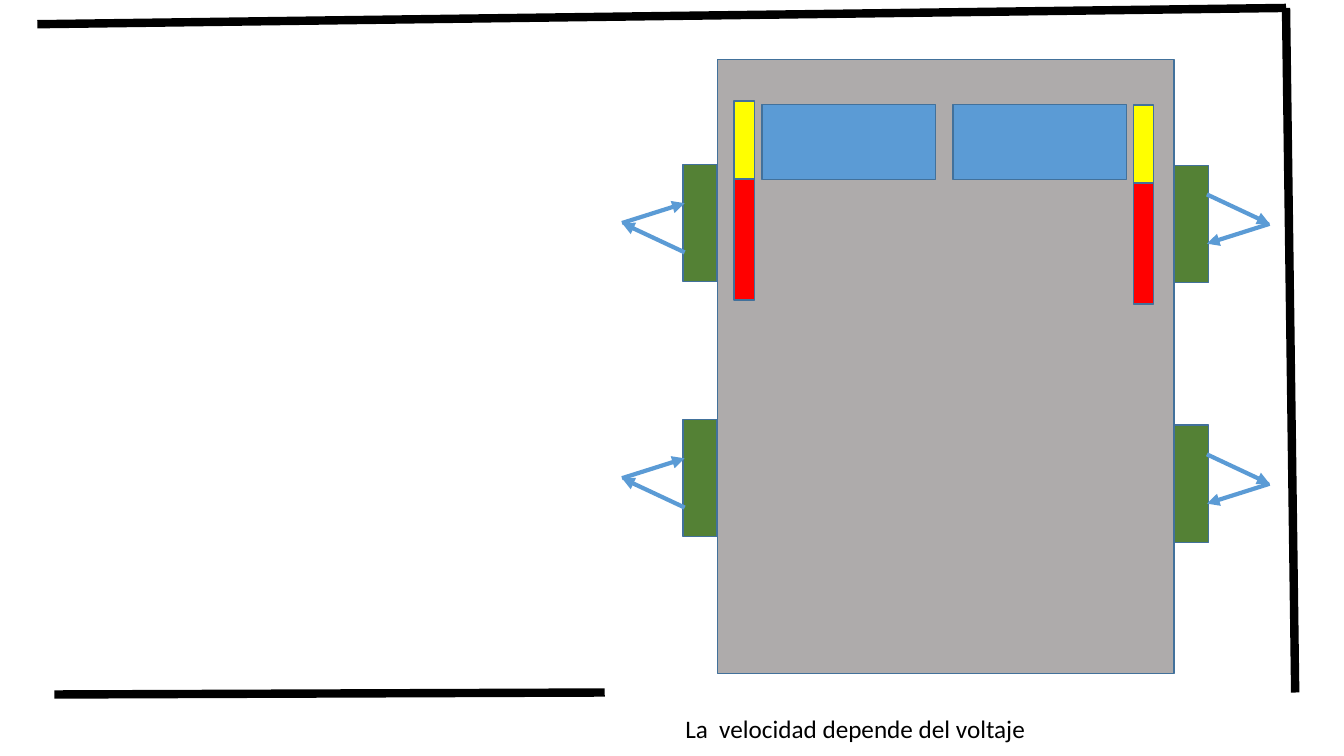
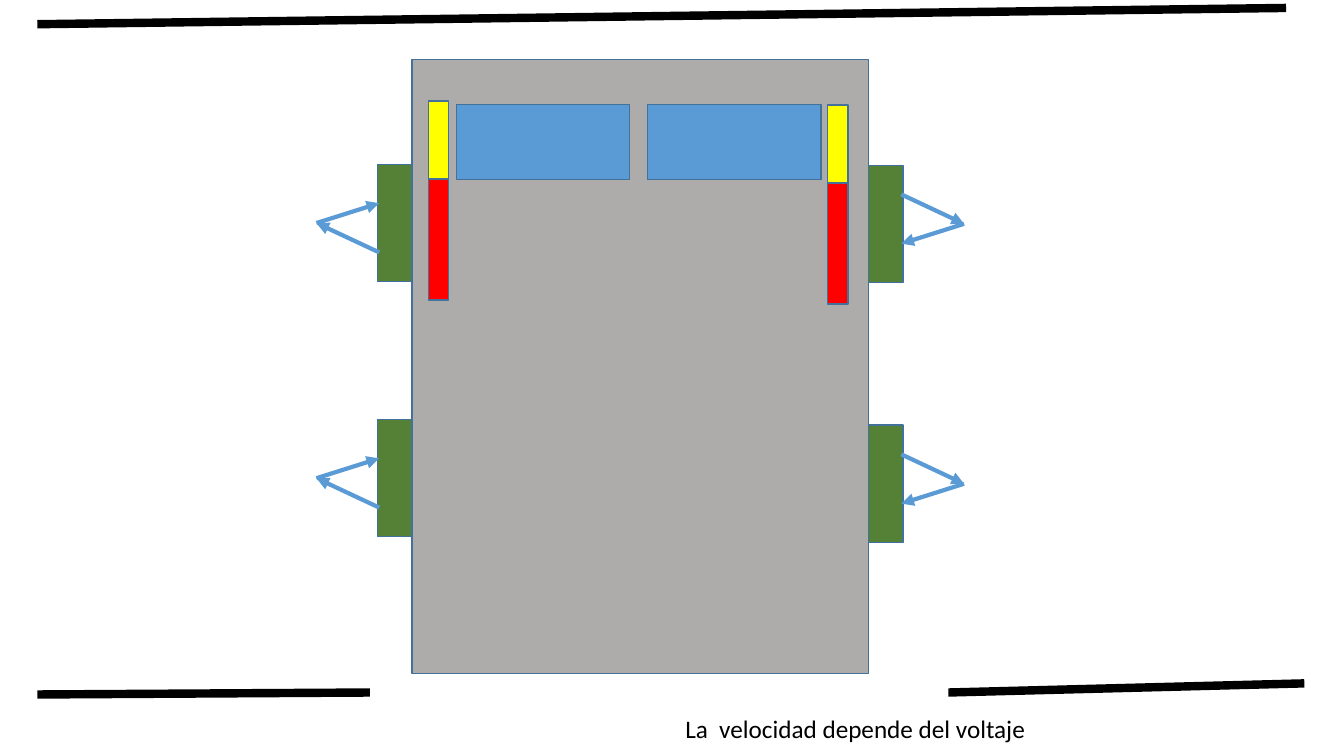
from lxml import etree
from pptx import Presentation
from pptx.dml.color import RGBColor
from pptx.enum.shapes import MSO_CONNECTOR, MSO_SHAPE
from pptx.enum.text import MSO_AUTO_SIZE
from pptx.oxml.ns import qn
from pptx.util import Cm, Pt

STRAIGHT = MSO_CONNECTOR.STRAIGHT
RECTANGLE = MSO_SHAPE.RECTANGLE
FIT_SHAPE = MSO_AUTO_SIZE.SHAPE_TO_FIT_TEXT
BLANK_LAYOUT = 6

COLORS = {
    "wall": "000000", "text": "000000", "outline": "42719B",
    "body": "AEABAB", "window": "5B9BD5", "signal": "5B9BD5",
    "yellow": "FFFF00", "red": "FF0000", "wheel": "548135",
}
CAPTION_FONT = {"name": "Calibri", "size": Pt(18)}
CAPTION = "La  velocidad depende del voltaje"

# Car geometry in cm: x from the car's left edge, y from the slide's top
BODY_TOP, BODY_WIDTH, BODY_HEIGHT = 1.5, 11.51, 15.47
WINDOW_LEFTS = (5.94, 1.12)
STRIP_CORNERS = ((10.48, 2.65), (0.42, 2.55))
STRIP_WIDTH, YELLOW_HEIGHT, RED_HEIGHT = 0.51, 1.96, 3.05
WHEEL_WIDTH, WHEEL_HEIGHT = 0.86, 2.95
# Side (1 right, -1 left) and the middle height of each wheel
WHEELS = ((1, 5.64), (-1, 5.62), (1, 12.19), (-1, 12.05))
# Distances from the car's centre line
WHEEL_REACH, SENSOR_REACH, ECHO_REACH = 6.19, 6.58, 8.16

TOP_WALL = (0.94, 0.61, 32.41, 0.2)
SCENES = (
    {"car_left": 18.08, "near_wall": (15.24, 17.45, 1.37, 17.5),
     "far_wall": (32.41, 0.2, 32.64, 17.45)},
    {"car_left": 10.38, "near_wall": (9.32, 17.45, 0.94, 17.5),
     "far_wall": (32.87, 17.22, 23.9, 17.45)},
)


def color(role):
    return RGBColor.from_string(COLORS[role])


class CarDeck:
    def __init__(self):
        self.prs = Presentation()
        self.prs.slide_width, self.prs.slide_height = Cm(33.87), Cm(19.05)
        self.slide = None

    def new_slide(self):
        layout = self.prs.slide_layouts[BLANK_LAYOUT]
        self.slide = self.prs.slides.add_slide(layout)

    def caption(self, text):
        box = self.slide.shapes.add_textbox(Cm(17.02), Cm(17.86), Cm(9.19), Cm(1.02))
        frame = box.text_frame
        frame.word_wrap = False
        frame.auto_size = FIT_SHAPE
        run = frame.paragraphs[0].add_run()
        run.text = text
        for attribute, value in CAPTION_FONT.items():
            setattr(run.font, attribute, value)
        run.font.color.rgb = color("text")

    def line(self, shapes, ends, role, width):
        line = shapes.add_connector(STRAIGHT, *(Cm(end) for end in ends))
        line.line.color.rgb = color(role)
        line.line.width = Pt(width)
        etree.SubElement(line._element.spPr, qn("a:effectLst"))
        return line

    def wall(self, ends):
        self.line(self.slide.shapes, ends, "wall", 6)

    def arrow(self, shapes, ends):
        arrow = self.line(shapes, ends, "signal", 3)
        etree.SubElement(arrow.line._get_or_add_ln(), qn("a:tailEnd"), type="triangle")

    def block(self, shapes, role, left, top, width, height):
        block = shapes.add_shape(RECTANGLE, Cm(left), Cm(top), Cm(width), Cm(height))
        block.shadow.inherit = False
        block.fill.solid()
        block.fill.fore_color.rgb = color(role)
        block.line.color.rgb = color("outline")
        block.line.width = Pt(1)

    def wheel(self, shapes, center, side, middle):
        self.block(shapes, "wheel", center + side * WHEEL_REACH - WHEEL_WIDTH / 2,
                   middle - WHEEL_HEIGHT / 2, WHEEL_WIDTH, WHEEL_HEIGHT)
        # Signal out to the wall and its echo back
        sensor, echo = center + side * SENSOR_REACH, center + side * ECHO_REACH
        self.arrow(shapes, (sensor, middle - side * 0.74, echo, middle))
        self.arrow(shapes, (echo, middle, sensor, middle + side * 0.5))

    def car(self, left):
        parts = self.slide.shapes.add_group_shape().shapes
        self.block(parts, "body", left, BODY_TOP, BODY_WIDTH, BODY_HEIGHT)
        for window_left in WINDOW_LEFTS:
            self.block(parts, "window", left + window_left, 2.64, 4.37, 1.88)
        for strip_left, top in STRIP_CORNERS:
            self.block(parts, "yellow", left + strip_left, top,
                       STRIP_WIDTH, YELLOW_HEIGHT)
            self.block(parts, "red", left + strip_left, top + YELLOW_HEIGHT,
                       STRIP_WIDTH, RED_HEIGHT)
        for side, middle in WHEELS:
            self.wheel(parts, left + BODY_WIDTH / 2, side, middle)


def main():
    deck = CarDeck()
    for scene in SCENES:
        deck.new_slide()
        deck.caption(CAPTION)
        deck.wall(TOP_WALL)
        deck.wall(scene["near_wall"])
        deck.car(scene["car_left"])
        deck.wall(scene["far_wall"])
    deck.prs.save("out.pptx")


if __name__ == "__main__":
    main()
